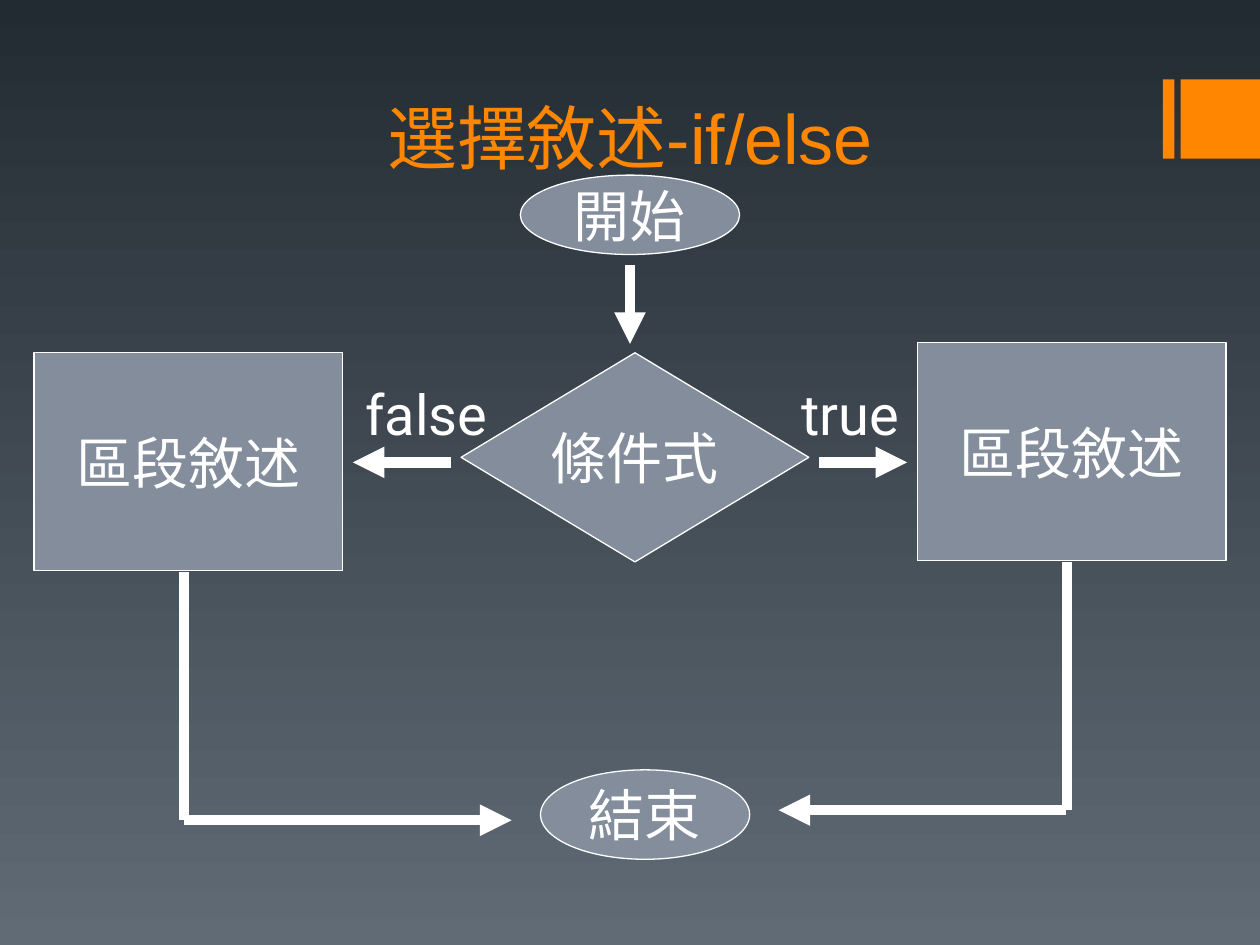
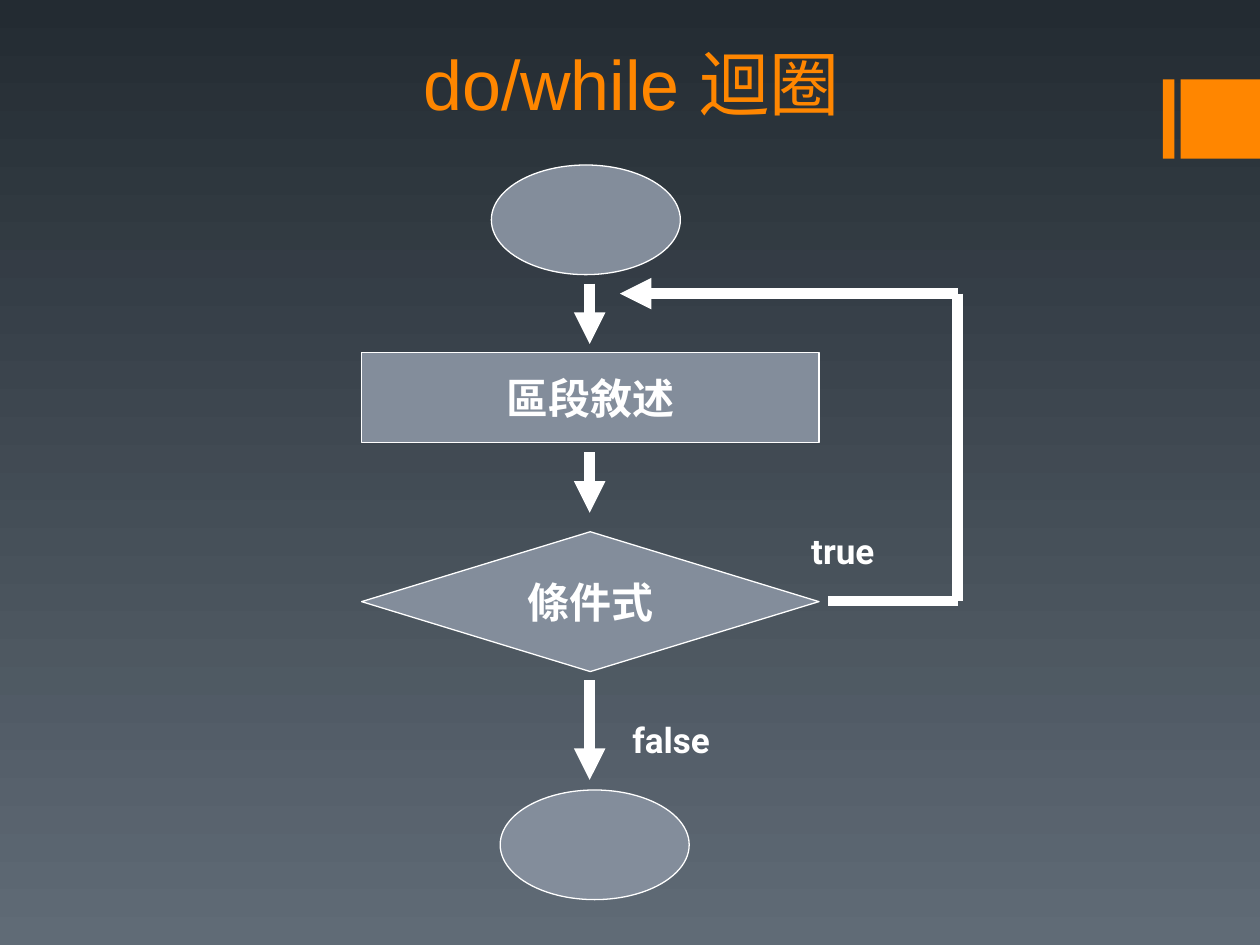
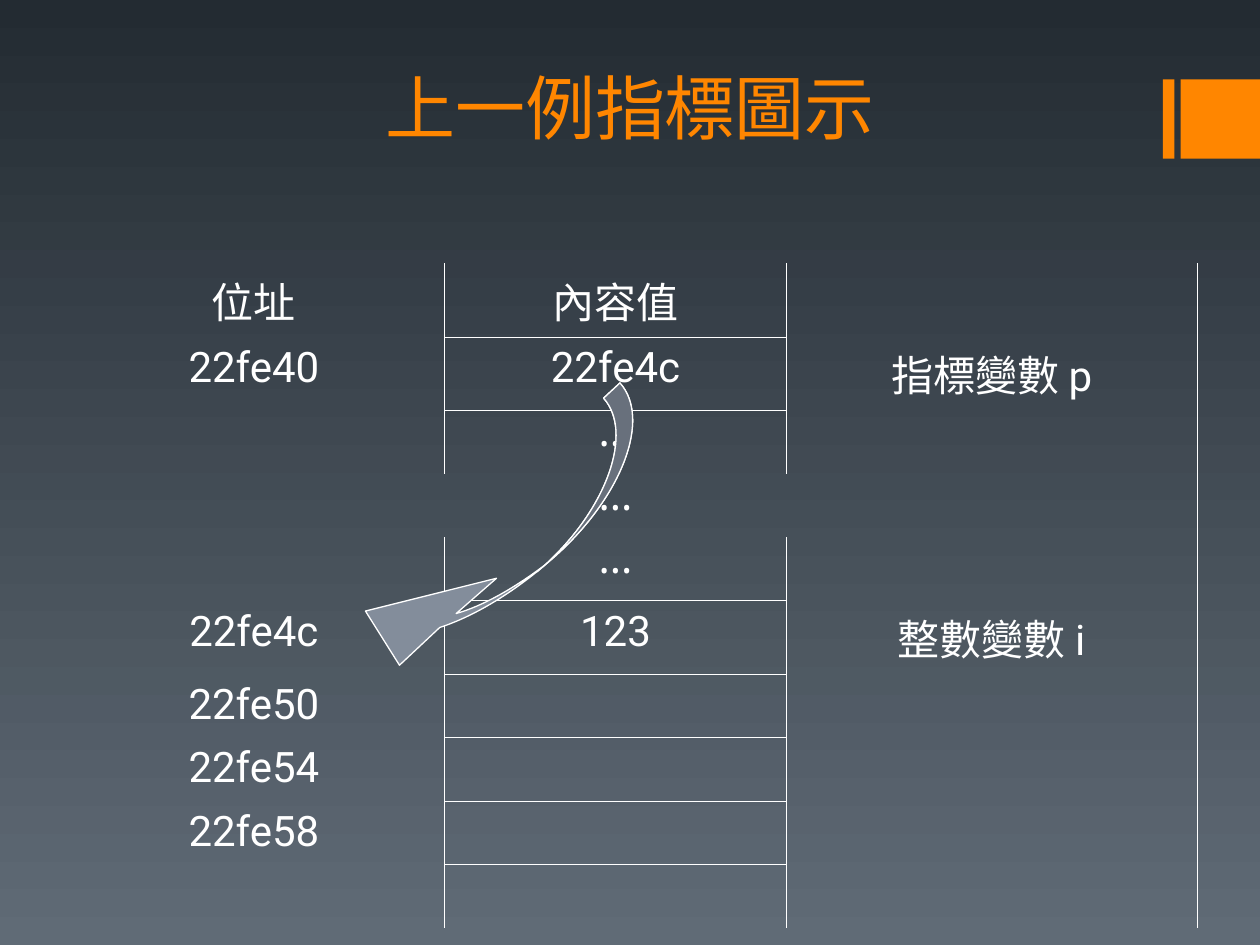
from dataclasses import dataclass
from math import cos, radians, sin

from lxml import etree
from pptx import Presentation
from pptx.dml.color import RGBColor
from pptx.enum.shapes import MSO_CONNECTOR, MSO_SHAPE
from pptx.enum.text import MSO_ANCHOR, MSO_AUTO_SIZE, PP_ALIGN
from pptx.oxml.ns import qn
from pptx.util import Inches, Pt

STRAIGHT = MSO_CONNECTOR.STRAIGHT
RECTANGLE = MSO_SHAPE.RECTANGLE
ELLIPSE = MSO_SHAPE.OVAL
PROCESS = MSO_SHAPE.FLOWCHART_PROCESS
DECISION = MSO_SHAPE.FLOWCHART_DECISION
JUNCTION = MSO_SHAPE.FLOWCHART_CONNECTOR
CENTER, LEFT = PP_ALIGN.CENTER, PP_ALIGN.LEFT
MIDDLE, BOTTOM = MSO_ANCHOR.MIDDLE, MSO_ANCHOR.BOTTOM
NO_AUTO_SIZE = MSO_AUTO_SIZE.NONE


@dataclass(frozen=True)
class Theme:
    accent: RGBColor = RGBColor(0xFF, 0x86, 0x00)
    fill: RGBColor = RGBColor(0x83, 0x8D, 0x9B)
    light: RGBColor = RGBColor(0xFF, 0xFF, 0xFF)
    background_top: RGBColor = RGBColor(0x23, 0x2B, 0x32)
    background_bottom: RGBColor = RGBColor(0x60, 0x6B, 0x76)
    title_font: str = "Arial"
    body_font: str = "Roboto"
    title_size: int = 40
    table_size: int = 24
    outline: float = 0.75
    arrow: float = 6
    grid: float = 0.45


THEME = Theme()

BANDS = [(9.23, 0.63, 0.09, 0.63), (9.37, 0.63, 0.63, 0.63)]

FLOWCHARTS = [
    {
        "title": ("選擇敘述-if/else", (0.5, 0.32, 9, 1.15)),
        "bold": False,
        "node_size": 32,
        "label_size": 32,
        "nodes": [
            (DECISION, "條件式", (3.66, 2.8, 2.76, 1.66)),
            (PROCESS, "區段敘述", (7.28, 2.72, 2.45, 1.73)),
            (PROCESS, "區段敘述", (0.27, 2.8, 2.45, 1.73)),
            (ELLIPSE, "結束", (4.29, 6.11, 1.66, 0.71)),
            (ELLIPSE, "開始", (4.13, 1.39, 1.74, 0.63)),
        ],
        "labels": [
            ("true", (6.26, 2.96, 1.02, 1.17)),
            ("false", (2.8, 2.96, 1.26, 0.64)),
        ],
        "arrows": [
            (6.5, 3.67, 7.2, 3.67),
            (5, 2.1, 5, 2.73),
            (8.46, 6.43, 6.18, 6.43),
            (3.58, 3.67, 2.8, 3.67),
            (1.46, 6.51, 4.06, 6.51),
        ],
        "lines": [(1.46, 4.54, 1.46, 6.51), (8.47, 4.46, 8.47, 6.43)],
    },
    {
        "title": ("do/while 迴圈", (0.51, 0.29, 9, 0.75)),
        "bold": True,
        "node_size": 24,
        "label_size": 20,
        "nodes": [
            (PROCESS, "區段敘述", (2.87, 2.8, 3.63, 0.71)),
            (JUNCTION, "", (3.9, 1.31, 1.5, 0.87)),
            (DECISION, "條件式", (2.87, 4.22, 3.63, 1.11)),
            (JUNCTION, "", (3.97, 6.27, 1.5, 0.87)),
        ],
        "labels": [
            ("false", (4.92, 5.65, 0.87, 0.44)),
            ("true", (6.34, 4.15, 0.87, 0.44)),
        ],
        "arrows": [
            (4.68, 2.25, 4.68, 2.73),
            (4.68, 3.59, 4.68, 4.07),
            (4.68, 5.4, 4.68, 6.19),
            (7.6, 2.33, 4.92, 2.33),
        ],
        "lines": [(6.57, 4.77, 7.6, 4.77), (7.6, 2.33, 7.6, 4.77)],
    },
]

MEMORY_TITLE = ("上一例指標圖示", (0.5, 0.32, 9, 0.91))
MEMORY_BOX = (0.5, 2.09, 9, 5.06)
MEMORY_COLUMNS = [3.03, 2.71, 3.26]
HEADER_HEIGHT = 0.53
DOTS = "‧‧‧"
MEMORY_ROWS = [
    ("位址", "內容值", ""),
    ("22fe40", "22fe4c", "指標變數 p"),
    ("", DOTS, ""),
    ("", DOTS, ""),
    ("", DOTS, ""),
    ("22fe4c", "123", "整數變數 i"),
    ("22fe50", "", ""),
    ("22fe54", "", ""),
    ("22fe58", "", ""),
    ("", "", ""),
]
GAP_ROW = 3
RULED_BELOW = {0, 1, 4, 5, 6, 7, 8}
NO_GRID_STYLE = "{2D5ABB26-0587-4C30-8999-92F81FD0307C}"

POINTER_BOX = (2.33, 4.03, 3.23, 0.68)
POINTER_ROTATION = 138.2
OUTER_EDGE = [
    ("moveTo", [(4.92, 3.04)]),
    ("cubicBezTo", [(5.17, 3.32), (4.94, 3.94), (4.4, 4.42)]),
]
INNER_EDGE = [
    ("cubicBezTo", [(4.82, 4.03), (5.03, 3.43), (4.79, 3.16)]),
    ("close", []),
]
POINTER_BODY = OUTER_EDGE + [
    ("cubicBezTo", [(4.1, 4.69), (3.77, 4.89), (3.49, 4.98)]),
    ("lnTo", [(3.17, 5.28)]),
    ("lnTo", [(2.9, 4.85)]),
    ("lnTo", [(3.94, 4.59)]),
    ("lnTo", [(3.62, 4.87)]),
    ("cubicBezTo", [(3.83, 4.81), (4.08, 4.67), (4.33, 4.48)]),
] + INNER_EDGE
POINTER_SHADE = OUTER_EDGE + [
    ("lnTo", [(4.26, 4.54)]),
    ("lnTo", [(4.33, 4.48)]),
] + INNER_EDGE


def inches(values):
    return [Inches(value) for value in values]


def format_text(text_frame, size, font=THEME.body_font, color=THEME.light,
                bold=False, align=CENTER):
    for paragraph in text_frame.paragraphs:
        paragraph.alignment = align
        for run in paragraph.runs:
            run.font.name = font
            run.font.size = Pt(size)
            run.font.bold = bold
            run.font.color.rgb = color


def paint(shape, color, outline=True):
    shape.shadow.inherit = False
    shape.fill.solid()
    shape.fill.fore_color.rgb = color
    if outline:
        shape.line.color.rgb = THEME.light
        shape.line.width = Pt(THEME.outline)
    else:
        shape.line.fill.background()


def style_master(presentation, slide):
    master = presentation.slide_master
    fill = master.background.fill
    fill.gradient()
    fill.gradient_angle = 270
    colors = (THEME.background_top, THEME.background_bottom)
    for stop, color, position in zip(fill.gradient_stops, colors, (0, 1)):
        stop.color.rgb = color
        stop.position = position
    for number, box in enumerate(BANDS, 20):
        band = slide.shapes.add_shape(RECTANGLE, *inches(box))
        paint(band, THEME.accent, outline=False)
        band._element.nvSpPr.cNvPr.set("id", str(number))
        master.shapes._spTree.append(band._element)


def add_slide(presentation, text, box):
    slide = presentation.slides.add_slide(presentation.slide_layouts[5])
    title = slide.shapes.title
    title.left, title.top, title.width, title.height = inches(box)
    text_frame = title.text_frame
    text_frame.text = text
    text_frame.auto_size = NO_AUTO_SIZE
    text_frame.vertical_anchor = BOTTOM
    format_text(text_frame, THEME.title_size, THEME.title_font, THEME.accent)
    return slide


def add_node(slide, kind, text, box, size, bold):
    node = slide.shapes.add_shape(kind, *inches(box))
    paint(node, THEME.fill)
    if text:
        text_frame = node.text_frame
        text_frame.text = text
        text_frame.word_wrap = False
        text_frame.vertical_anchor = MIDDLE
        format_text(text_frame, size, bold=bold)


def add_label(slide, text, box, size, bold):
    text_frame = slide.shapes.add_textbox(*inches(box)).text_frame
    text_frame.text = text
    text_frame.word_wrap = True
    format_text(text_frame, size, bold=bold, align=LEFT)


def add_line(slide, ends, arrow=False):
    connector = slide.shapes.add_connector(STRAIGHT, *inches(ends))
    connector.line.color.rgb = THEME.light
    connector.line.width = Pt(THEME.arrow)
    if arrow:
        line = connector.line._get_or_add_ln()
        etree.SubElement(line, qn("a:tailEnd"), type="triangle")
    etree.SubElement(connector._element.spPr, qn("a:effectLst"))


def fill_flowchart(slide, chart):
    bold = chart["bold"]
    for kind, text, box in chart["nodes"]:
        add_node(slide, kind, text, box, chart["node_size"], bold)
    for text, box in chart["labels"]:
        add_label(slide, text, box, chart["label_size"], bold)
    for ends in chart["arrows"]:
        add_line(slide, ends, arrow=True)
    for ends in chart["lines"]:
        add_line(slide, ends)


def set_borders(cell, sides):
    properties = cell._tc.get_or_add_tcPr()
    for index, side in enumerate("LRTB"):
        line = etree.Element(qn(f"a:ln{side}"), w=str(Pt(THEME.grid)))
        if side in sides:
            solid = etree.SubElement(line, qn("a:solidFill"))
            etree.SubElement(solid, qn("a:srgbClr"), val=str(THEME.light))
        else:
            etree.SubElement(line, qn("a:noFill"))
        properties.insert(index, line)


def border_sides(row, column):
    walls = "" if row == GAP_ROW else "LR"
    if column == 0:
        return walls[1:]
    if column == 2:
        return walls[:1] + "R"
    above = "T" if row - 1 in RULED_BELOW else ""
    below = "B" if row in RULED_BELOW else ""
    return walls + above + below


def add_memory_table(slide):
    row_count = len(MEMORY_ROWS)
    frame = slide.shapes.add_table(row_count, len(MEMORY_COLUMNS), *inches(MEMORY_BOX))
    table = frame.table
    table.first_row = table.horz_banding = False
    table._tbl.tblPr.find(qn("a:tableStyleId")).text = NO_GRID_STYLE
    for column, width in zip(table.columns, MEMORY_COLUMNS):
        column.width = Inches(width)
    body_height = (MEMORY_BOX[3] - HEADER_HEIGHT) / (row_count - 1)
    for row, texts in enumerate(MEMORY_ROWS):
        table.rows[row].height = Inches(body_height if row else HEADER_HEIGHT)
        for column, text in enumerate(texts):
            cell = table.cell(row, column)
            cell.fill.background()
            set_borders(cell, border_sides(row, column))
            if text:
                cell.text_frame.text = text
                font = THEME.title_font if text == DOTS else THEME.body_font
                format_text(cell.text_frame, THEME.table_size, font)


def unrotate(point):
    left, top, width, height = POINTER_BOX
    across = point[0] - left - width / 2
    down = point[1] - top - height / 2
    cosine, sine = cos(radians(POINTER_ROTATION)), sin(radians(POINTER_ROTATION))
    return (width / 2 + across * cosine + down * sine,
            height / 2 - across * sine + down * cosine)


def add_outline(path_list, commands, **attributes):
    width, height = inches(POINTER_BOX[2:])
    outline = etree.SubElement(path_list, qn("a:path"), w=str(width),
                               h=str(height), **attributes)
    for command, points in commands:
        step = etree.SubElement(outline, qn(f"a:{command}"))
        for point in points:
            x, y = inches(unrotate(point))
            etree.SubElement(step, qn("a:pt"), x=str(x), y=str(y))


def add_pointer_arrow(slide):
    left, top, width, height = inches(POINTER_BOX)
    builder = slide.shapes.build_freeform(left, top)
    builder.add_line_segments([(left + width, top + height)])
    pointer = builder.convert_to_shape()
    path_list = pointer._element.spPr.find(qn("a:custGeom")).find(qn("a:pathLst"))
    path_list.remove(path_list[0])
    add_outline(path_list, POINTER_BODY)
    add_outline(path_list, POINTER_SHADE, fill="darkenLess")
    pointer.rotation = POINTER_ROTATION
    paint(pointer, THEME.fill)


def main():
    presentation = Presentation()
    presentation.slide_width = Inches(10)
    presentation.slide_height = Inches(7.5)
    for chart in FLOWCHARTS:
        fill_flowchart(add_slide(presentation, *chart["title"]), chart)
    memory_slide = add_slide(presentation, *MEMORY_TITLE)
    add_memory_table(memory_slide)
    add_pointer_arrow(memory_slide)
    style_master(presentation, memory_slide)
    presentation.save("out.pptx")


if __name__ == "__main__":
    main()
